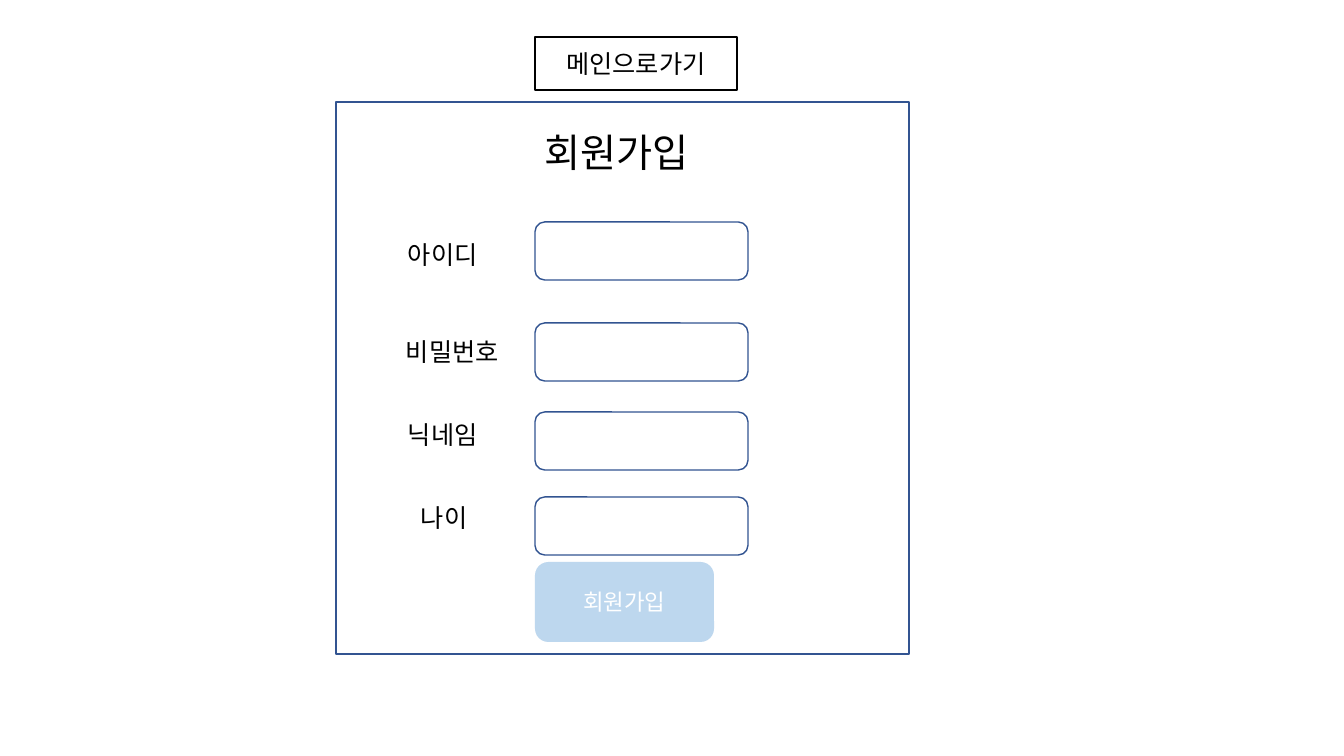
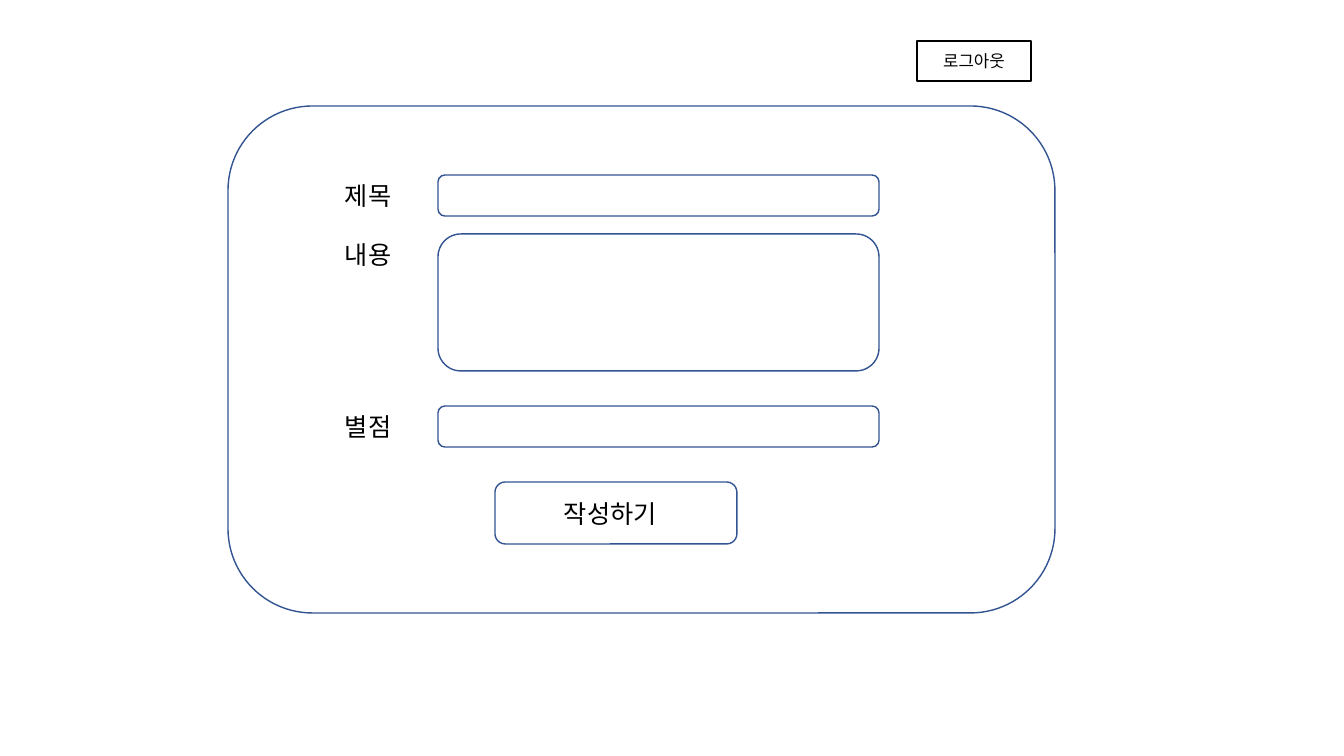
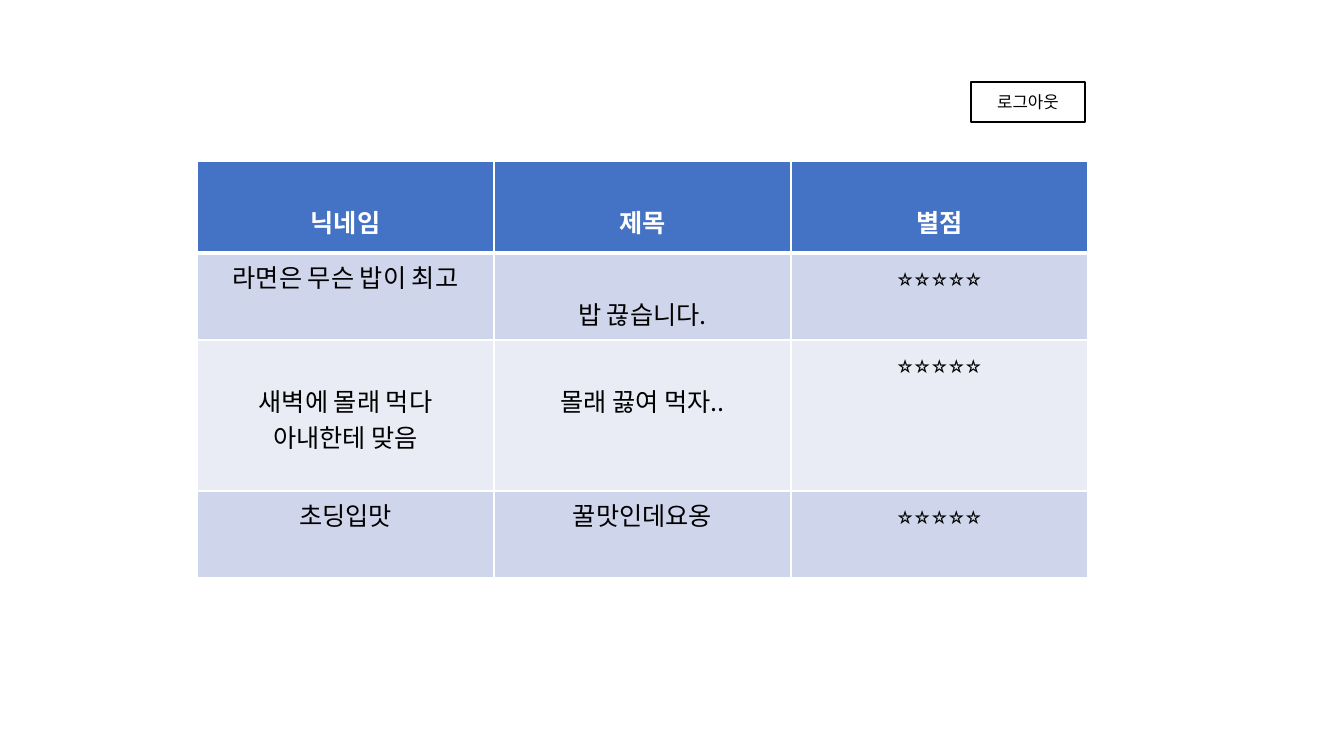
from lxml import etree
from pptx import Presentation
from pptx.dml.color import RGBColor
from pptx.enum.shapes import MSO_SHAPE
from pptx.enum.text import MSO_ANCHOR, MSO_AUTO_SIZE, PP_ALIGN
from pptx.oxml.ns import qn
from pptx.util import Emu, Pt

# Shared style
FONT = "Noto Sans CJK KR"
BLACK = RGBColor(0x00, 0x00, 0x00)
WHITE = RGBColor(0xFF, 0xFF, 0xFF)
OUTLINE = RGBColor(0x32, 0x54, 0x91)
PALE_BLUE = RGBColor(0xBD, 0xD7, 0xEE)
HEADER = RGBColor(0x44, 0x72, 0xC4)
BANDS = (RGBColor(0xCF, 0xD5, 0xEA), RGBColor(0xE9, 0xEB, 0xF5))

RECT = MSO_SHAPE.RECTANGLE
ROUNDED = MSO_SHAPE.ROUNDED_RECTANGLE
MIDDLE = MSO_ANCHOR.MIDDLE
GROW = MSO_AUTO_SIZE.SHAPE_TO_FIT_TEXT
LEFT, CENTER = PP_ALIGN.LEFT, PP_ALIGN.CENTER

SCALE = 914400 / 100.8
LABEL_H = 40
CELL_MARGIN = 5
LINE_H = 37  # one 18 pt line


def px(length):
    return Emu(round(length * SCALE))


def write(frame, text, size=18, color=BLACK, bold=False, align=LEFT):
    """Fill a text frame, one paragraph for each line of text."""
    for index, line in enumerate(text.split("\n")):
        paragraph = frame.paragraphs[0] if index == 0 else frame.add_paragraph()
        paragraph.alignment = align
        run = paragraph.add_run()
        run.text = line
        font = run.font
        font.name, font.size, font.bold = FONT, Pt(size), bold
        font.color.rgb = color
        latin = font._element.find(qn("a:latin"))
        east_asian = etree.Element(qn("a:ea"), typeface=FONT)
        latin.addnext(east_asian)


class Deck:
    def __init__(self):
        self.prs = Presentation()
        self.prs.slide_width, self.prs.slide_height = px(1344), px(756)
        self.slide = None

    def new_slide(self):
        self.slide = self.prs.slides.add_slide(self.prs.slide_layouts[6])

    def box(self, x, y, w, h, kind=ROUNDED, line=OUTLINE, fill=None, text=None, **style):
        shape = self.slide.shapes.add_shape(kind, px(x), px(y), px(w), px(h))
        shape.shadow.inherit = False
        if fill is None:
            shape.fill.background()
        else:
            shape.fill.solid()
            shape.fill.fore_color.rgb = fill
        if line is None:
            shape.line.fill.background()
        else:
            shape.line.color.rgb = line
            shape.line.width = Pt(1)
        if text:
            shape.text_frame.vertical_anchor = MIDDLE
            write(shape.text_frame, text, align=CENTER, **style)

    def label(self, text, x, y, w, h=LABEL_H, **style):
        frame = self.slide.shapes.add_textbox(px(x), px(y), px(w), px(h)).text_frame
        frame.word_wrap = False
        frame.auto_size = GROW
        write(frame, text, **style)

    def link_button(self, text, x, y, w=114, h=40, size=12):
        self.box(x, y, w, h, kind=RECT, line=BLACK, text=text, size=size)

    def table(self, x, y, col_width, row_heights, rows):
        """Each cell is (text, lines of space above it)."""
        count = len(rows[0])
        table = self.slide.shapes.add_table(
            len(rows), count, px(x), px(y), px(col_width * count), px(sum(row_heights))).table
        for column in table.columns:
            column.width = px(col_width)
        for r, (height, row) in enumerate(zip(row_heights, rows)):
            table.rows[r].height = px(height)
            is_header = r == 0
            for c, (text, lines_above) in enumerate(row):
                cell = table.cell(r, c)
                cell.margin_top = px(CELL_MARGIN + lines_above * LINE_H)
                write(cell.text_frame, text, bold=is_header, align=CENTER,
                      color=WHITE if is_header else BLACK)
                self.cell_borders(cell, top=3 if r == 1 else 1, bottom=3 if is_header else 1)
                cell.fill.solid()
                cell.fill.fore_color.rgb = HEADER if is_header else BANDS[(r - 1) % 2]

    def cell_borders(self, cell, top, bottom):
        properties = cell._tc.get_or_add_tcPr()
        for side, width in (("lnL", 1), ("lnR", 1), ("lnT", top), ("lnB", bottom)):
            border = etree.SubElement(properties, qn(f"a:{side}"), w=str(Pt(width)))
            solid = etree.SubElement(border, qn("a:solidFill"))
            etree.SubElement(solid, qn("a:srgbClr"), val=str(WHITE))


deck = Deck()

# Sign-up form
deck.new_slide()
deck.link_button("메인으로가기", 535, 37, w=202, h=53, size=18)
deck.box(336, 102, 573, 552, kind=RECT)
deck.box(535, 562, 179, 80, line=None, fill=PALE_BLUE, text="회원가입", size=16, color=WHITE)
deck.label("회원가입", 535, 123, 179, h=58, size=28)
for name, label_x, label_y, label_w, field_y in (
        ("아이디", 398, 234, 97, 222),
        ("비밀번호", 396, 331, 122, 323),
        ("닉네임", 398, 414, 97, 412),
        ("나이", 411, 497, 72, 497)):
    deck.label(name, label_x, label_y, label_w)
    deck.box(535, field_y, 213, 58)

# Review form
deck.new_slide()
deck.link_button("로그아웃", 917, 41)
deck.label("작성하기", 554, 493, 122)
deck.box(495, 482, 242, 62)
for name, field_y, field_h in (("제목", 175, 41), ("내용", 234, 137), ("별점", 406, 41)):
    deck.label(name, 335, field_y, 72)
    deck.box(438, field_y, 441, field_h)
deck.box(228, 106, 827, 507)

# Review list
STARS = "⭐" * 5
deck.new_slide()
deck.link_button("로그아웃", 971, 82)
deck.table(197, 161, 297, (92, 87, 151, 87), (
    (("닉네임", 1), ("제목", 1), ("별점", 1)),
    (("라면은 무슨 밥이 최고", 0), ("밥 끊습니다.", 1), (STARS, 0)),
    (("새벽에 몰래 먹다\n아내한테 맞음", 1), ("몰래 끓여 먹자..", 1), (STARS, 0)),
    (("초딩입맛", 0), ("꿀맛인데요옹", 0), (STARS, 0)),
))

deck.prs.save("out.pptx")
